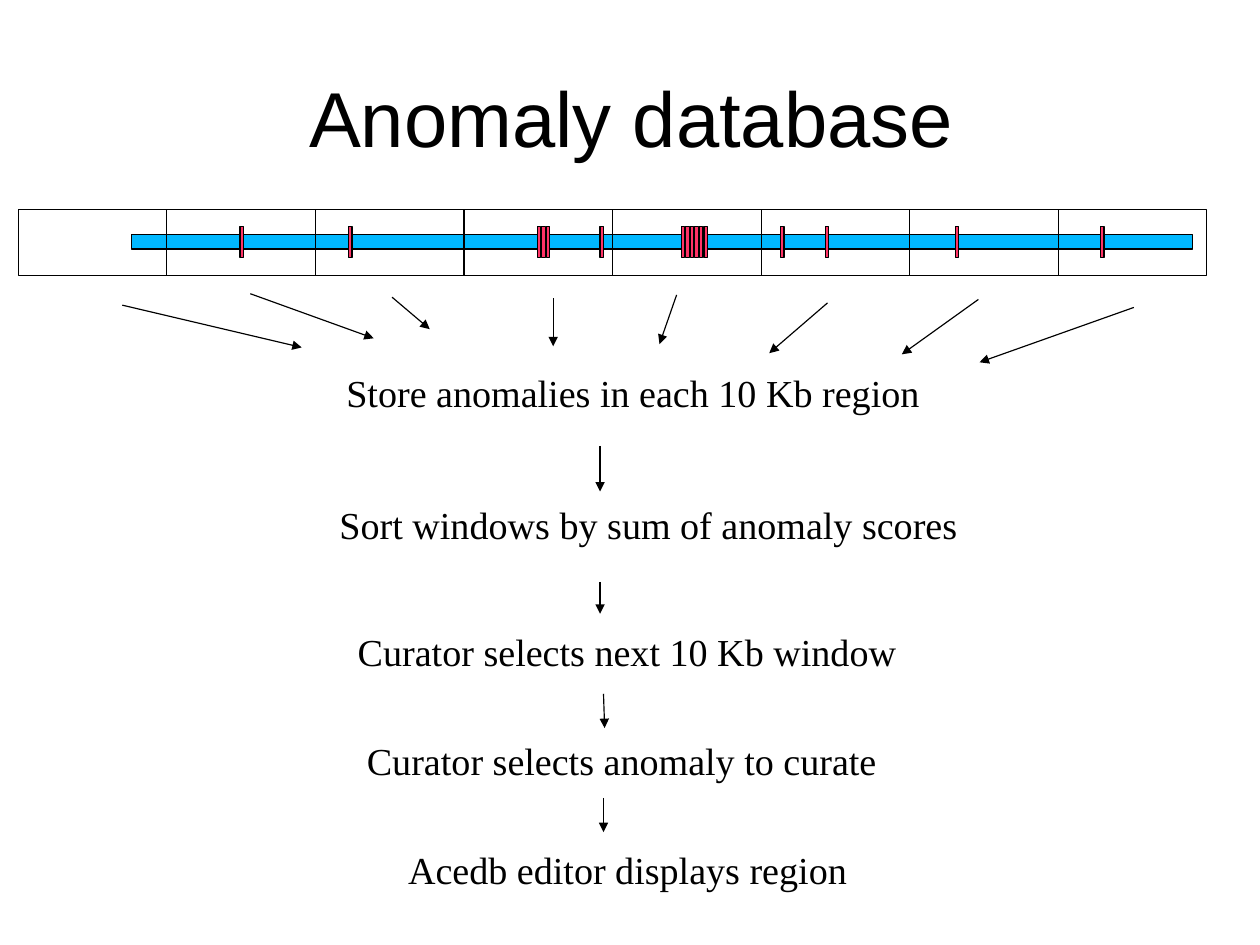
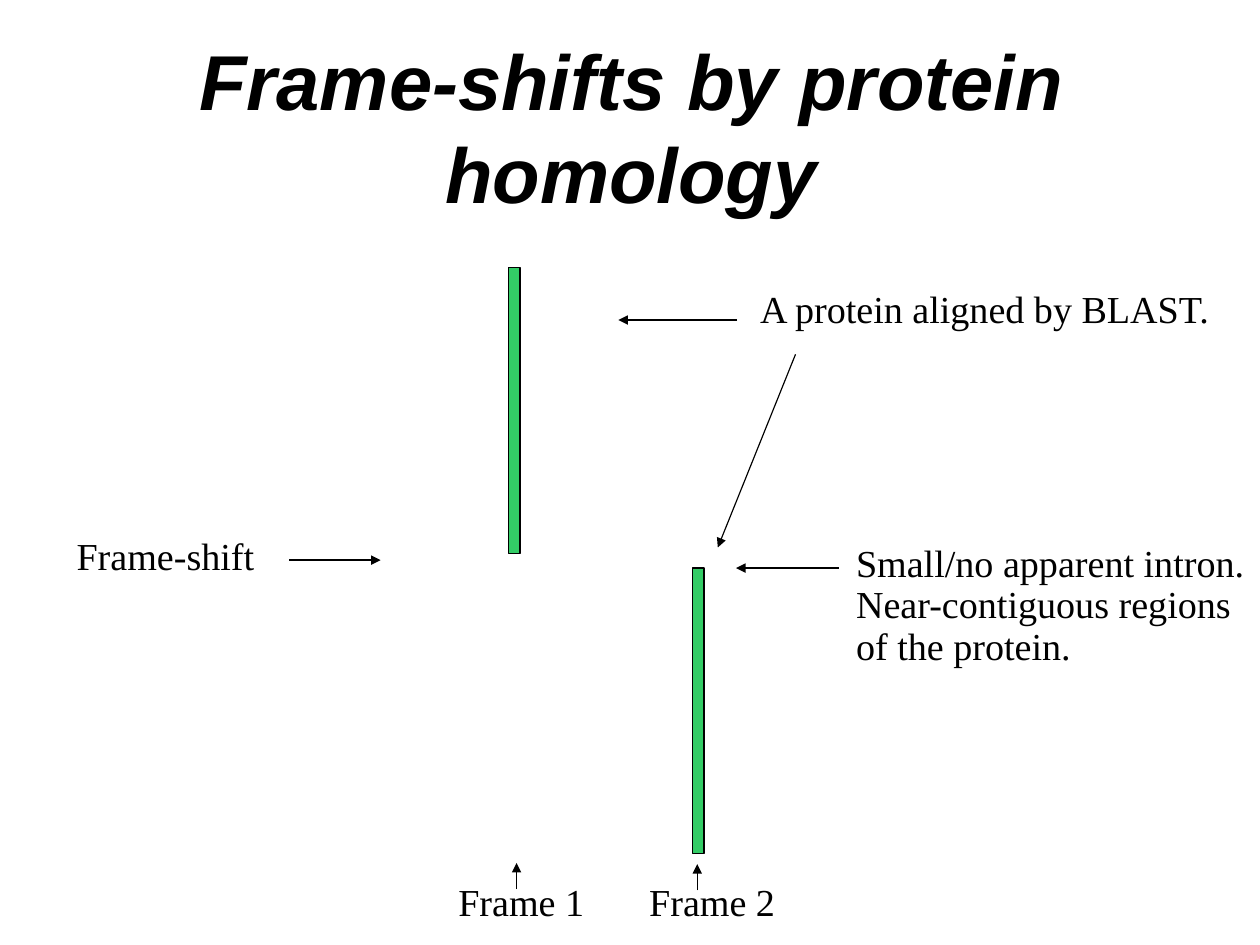
from dataclasses import dataclass

from lxml import etree
from pptx import Presentation
from pptx import util as u
from pptx.dml.color import RGBColor
from pptx.enum import shapes, text
from pptx.oxml import ns

CM_PER_INCH = 2.54


@dataclass(frozen=True)
class Theme:
    ink: str = "000000"
    paper: str = "FFFFFF"
    sequence: str = "00B8FF"
    anomaly: str = "FF3366"
    protein: str = "33CC66"
    title_font: str = "Arial"
    body_font: str = "Times New Roman"
    title_size: int = 49
    body_size: int = 24
    line_width: float = 0.75
    body_spacing: float = 0.91


class Deck:
    def __init__(self, theme):
        self.theme = theme
        self.prs = Presentation()
        self.prs.slide_width = u.Inches(28 / CM_PER_INCH)
        self.prs.slide_height = u.Inches(21 / CM_PER_INCH)
        self.slide = None

    def new_slide(self):
        self.slide = self.prs.slides.add_slide(self.prs.slide_layouts[6])
        fill = self.slide.background.fill
        fill.solid()
        fill.fore_color.rgb = RGBColor.from_string(self.theme.paper)

    def _text_box(self, content, left, top, width, height):
        box = self.slide.shapes.add_textbox(*map(u.Inches, (left, top, width, height)))
        frame = box.text_frame
        frame.word_wrap = True
        frame.margin_left = frame.margin_right = 0
        frame.margin_top = frame.margin_bottom = 0
        frame.text = content
        return frame

    def _set_font(self, paragraph, name, size):
        paragraph.font.name = name
        paragraph.font.size = u.Pt(size)
        paragraph.font.color.rgb = RGBColor.from_string(self.theme.ink)

    def title(self, content, top, height, emphasis=False):
        frame = self._text_box(content, 0.83, top, 9.38, height)
        frame.vertical_anchor = text.MSO_ANCHOR.MIDDLE
        heading = frame.paragraphs[0]
        heading.alignment = text.PP_ALIGN.CENTER
        self._set_font(heading, self.theme.title_font, self.theme.title_size)
        heading.font.bold = heading.font.italic = emphasis

    def label(self, content, left, top, width, height=0.37):
        frame = self._text_box(content, left, top, width, height)
        for paragraph in frame.paragraphs:
            paragraph.line_spacing = self.theme.body_spacing
            self._set_font(paragraph, self.theme.body_font, self.theme.body_size)

    def _outline(self, line):
        line.color.rgb = RGBColor.from_string(self.theme.ink)
        line.width = u.Pt(self.theme.line_width)

    def box(self, left, top, width, height, fill=None):
        """Draw an outlined rectangle, see-through unless a fill is given."""
        shape = self.slide.shapes.add_shape(
            shapes.MSO_SHAPE.RECTANGLE, *map(u.Inches, (left, top, width, height)))
        shape.shadow.inherit = False
        if fill:
            shape.fill.solid()
            shape.fill.fore_color.rgb = RGBColor.from_string(fill)
        else:
            shape.fill.background()
        self._outline(shape.line)

    def arrow(self, x1, y1, x2, y2):
        connector = self.slide.shapes.add_connector(
            shapes.MSO_CONNECTOR.STRAIGHT, *map(u.Inches, (x1, y1, x2, y2)))
        self._outline(connector.line)
        properties = connector._element.spPr
        etree.SubElement(properties.find(ns.qn("a:ln")), ns.qn("a:tailEnd"), type="triangle")
        etree.SubElement(properties, ns.qn("a:effectLst"))


def anomaly_database(deck):
    theme = deck.theme
    deck.new_slide()
    deck.title("Anomaly database", 0.33, 1.38)

    deck.box(1.15, 2.05, 9.28, 0.13, theme.sequence)
    # Each cluster: left edge of the first anomaly, number of anomalies
    clusters = [(2.1, 1), (3.05, 1), (4.7, 3), (5.25, 1), (5.96, 6),
                (6.83, 1), (7.22, 1), (8.36, 1), (9.63, 1)]
    for left, count in clusters:
        for i in range(count):
            deck.box(left + 0.04 * i, 1.98, 0.03, 0.27, theme.anomaly)

    window_width = 1.3
    for i in range(8):
        deck.box(0.16 + window_width * i, 1.83, window_width, 0.58)

    window_arrows = [
        (1.07, 2.67, 2.64, 3.04), (2.19, 2.57, 3.27, 2.96),
        (3.43, 2.6, 3.76, 2.88), (4.84, 2.61, 4.84, 3.03),
        (5.92, 2.58, 5.77, 3.01), (7.24, 2.65, 6.73, 3.09),
        (8.56, 2.62, 7.89, 3.1), (9.92, 2.69, 8.57, 3.17),
    ]
    step_arrows = [(5.25, 3.9, 5.25, 4.3), (5.25, 5.09, 5.25, 5.37),
                   (5.28, 6.07, 5.29, 6.37), (5.28, 6.98, 5.28, 7.28)]
    for ends in window_arrows + step_arrows:
        deck.arrow(*ends)

    steps = [
        ("Store anomalies in each 10 Kb region", 3.03, 3.27),
        ("Sort windows by sum of anomaly scores", 2.97, 4.43),
        ("Curator selects next 10 Kb window", 3.13, 5.54),
        ("Curator selects anomaly to curate", 3.21, 6.49),
        ("Acedb editor displays region", 3.57, 7.45),
    ]
    for step, left, top in steps:
        deck.label(step, left, top, 5.5)


def frame_shifts(deck):
    deck.new_slide()
    deck.title("Frame-shifts by protein homology", 0.73, 0.74, emphasis=True)

    for left, top in [(4.45, 2.34), (6.06, 4.97)]:
        deck.box(left, top, 0.1, 2.5, deck.theme.protein)

    deck.label("Frame-shift", 0.67, 4.7, 2.61)
    deck.label("A protein aligned by BLAST.", 6.65, 2.54, 4.12)
    deck.label("Small/no apparent intron.\nNear-contiguous regions\nof the protein.",
               7.49, 4.76, 3.44, 1.46)
    deck.label("Frame 1", 4.01, 7.73, 1.3)
    deck.label("Frame 2", 5.68, 7.73, 1.73)

    pointers = [
        (2.53, 4.9, 3.33, 4.9), (6.45, 2.8, 5.41, 2.8),
        (6.96, 3.1, 6.28, 4.79), (7.34, 4.97, 6.44, 4.97),
        (4.52, 7.78, 4.52, 7.55), (6.1, 7.79, 6.1, 7.56),
    ]
    for ends in pointers:
        deck.arrow(*ends)


def main():
    deck = Deck(Theme())
    anomaly_database(deck)
    frame_shifts(deck)
    deck.prs.save("out.pptx")


if __name__ == "__main__":
    main()
